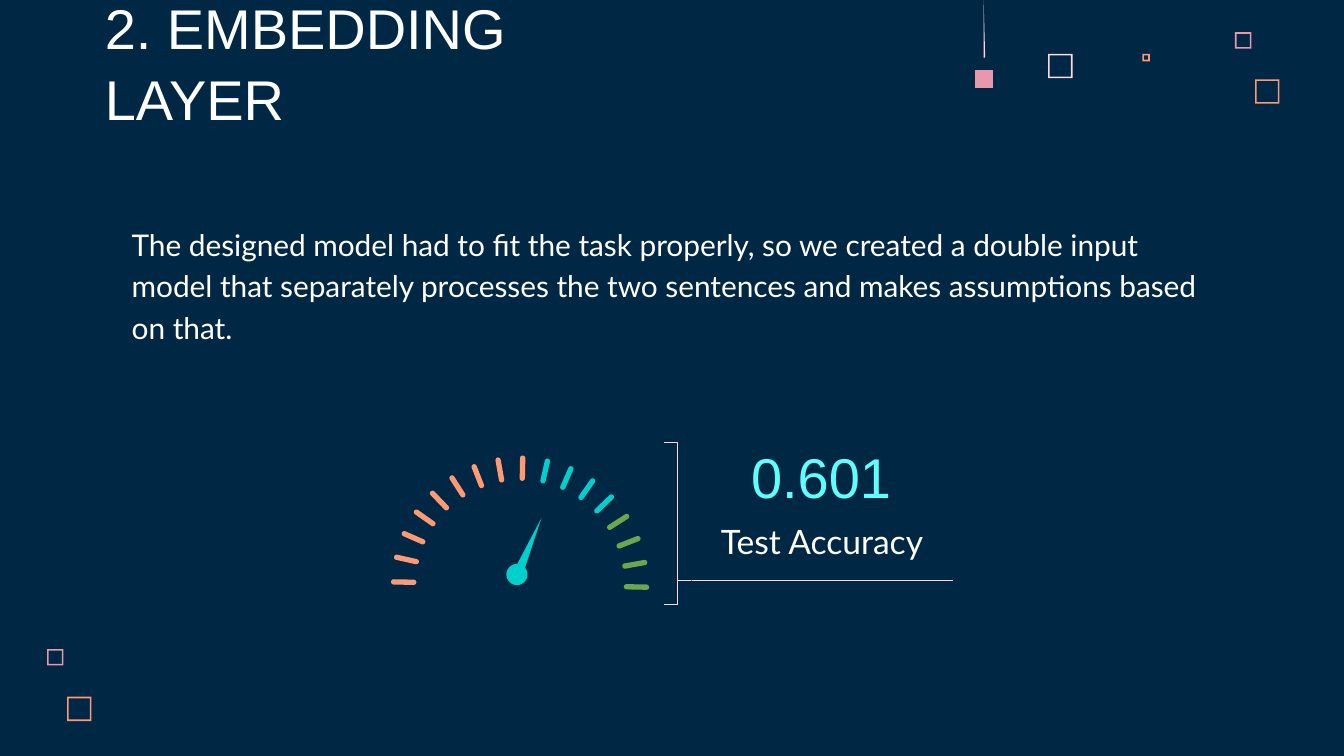
from dataclasses import dataclass
from math import cos, pi, radians, sin

from lxml import etree
from pptx import Presentation
from pptx.dml.color import RGBColor
from pptx.enum.shapes import MSO_CONNECTOR, MSO_SHAPE
from pptx.enum.text import MSO_ANCHOR, MSO_AUTO_SIZE, PP_ALIGN
from pptx.oxml.ns import qn
from pptx.util import Cm, Pt

TOP, MIDDLE, BOTTOM = MSO_ANCHOR.TOP, MSO_ANCHOR.MIDDLE, MSO_ANCHOR.BOTTOM
LEFT, CENTER = PP_ALIGN.LEFT, PP_ALIGN.CENTER
OVAL, TRIANGLE, BRACE = MSO_SHAPE.OVAL, MSO_SHAPE.ISOSCELES_TRIANGLE, MSO_SHAPE.RIGHT_BRACE
STRAIGHT = MSO_CONNECTOR.STRAIGHT
TITLE_ONLY = 5

Point = tuple[float, float]


@dataclass(frozen=True)
class Theme:
    navy: str = "002845"
    white: str = "FFFFFF"
    blush: str = "FFD6E1"
    pink: str = "E898AC"
    orange: str = "FF9973"
    teal: str = "00CFCC"
    green: str = "6AA84F"
    cyan: str = "5EFFFD"
    heading_font: str = "Arial"
    text_font: str = "Lato"
    heading_size: int = 30
    label_size: int = 18
    body_size: int = 16
    line_width: float = 0.75
    inset: float = 0.25


THEME = Theme()


@dataclass(frozen=True)
class Square:
    left: float
    top: float
    side: float
    color: str
    hollow: bool = True


@dataclass(frozen=True)
class Gauge:
    """Ticks run clockwise from the left end of a half circle, turned by tilt degrees."""
    center_x: float
    center_y: float
    radius: float
    tick_length: float
    tick_width: float
    tilt: float
    tick_colors: tuple[str, ...]


SQUARES = (
    Square(19.81, 1.02, 0.46, THEME.blush),
    Square(23.34, 0.61, 0.31, THEME.pink),
    Square(21.59, 1.02, 0.14, THEME.orange),
    Square(23.72, 1.5, 0.46, THEME.orange),
    Square(18.42, 1.32, 0.34, THEME.pink, hollow=False),
    Square(0.89, 12.27, 0.31, THEME.pink),
    Square(1.27, 13.17, 0.46, THEME.orange),
)
SQUARE_BORDER = 0.03

ACCURACY_GAUGE = Gauge(
    9.83, 11.05, 2.44, 0.48, 0.1, 1.2,
    (THEME.orange,) * 9 + (THEME.teal,) * 4 + (THEME.green,) * 4,
)


def rgb(color: str) -> RGBColor:
    return RGBColor.from_string(color)


def paint(shape, color: str) -> None:
    shape.shadow.inherit = False
    shape.fill.solid()
    shape.fill.fore_color.rgb = rgb(color)
    shape.line.fill.background()


def place(shape, left: float, top: float, width: float, height: float) -> None:
    shape.left, shape.top = Cm(left), Cm(top)
    shape.width, shape.height = Cm(width), Cm(height)


def write(shape, text: str, *, font: str, size: int, color: str, align=LEFT,
          anchor=TOP, spacing: float = 1.0) -> None:
    frame = shape.text_frame
    frame.word_wrap = True
    frame.auto_size = MSO_AUTO_SIZE.NONE
    frame.vertical_anchor = anchor
    frame.margin_left = frame.margin_right = Cm(THEME.inset)
    frame.margin_top = frame.margin_bottom = Cm(THEME.inset)
    paragraph = frame.paragraphs[0]
    paragraph.alignment = align
    paragraph.line_spacing = spacing
    run = paragraph.add_run()
    run.text = text
    run.font.name = font
    run.font.size = Pt(size)
    run.font.color.rgb = rgb(color)


def draw_outline(shapes, contours: list[list[Point]], color: str) -> None:
    """Fill closed contours; a contour wound the other way cuts a hole."""
    paths = [[(Cm(x), Cm(y)) for x, y in contour] for contour in contours]
    builder = shapes.build_freeform(*paths[0][0])
    builder.add_line_segments(paths[0][1:], close=True)
    for path in paths[1:]:
        builder.move_to(*path[0])
        builder.add_line_segments(path[1:], close=True)
    paint(builder.convert_to_shape(), color)


def square_corners(left: float, top: float, side: float) -> list[Point]:
    right, bottom = left + side, top + side
    return [(left, top), (left, bottom), (right, bottom), (right, top)]


def draw_square(shapes, square: Square) -> None:
    contours = [square_corners(square.left, square.top, square.side)]
    if square.hollow:
        hole = square_corners(square.left + SQUARE_BORDER, square.top + SQUARE_BORDER,
                              square.side - 2 * SQUARE_BORDER)
        contours.append(hole[::-1])
    draw_outline(shapes, contours, square.color)


def tick_outline(gauge: Gauge, angle: float) -> list[Point]:
    """Round-ended bar lying along the radius at the given angle."""
    cap = gauge.tick_width / 2
    outer, inner = gauge.radius - cap, gauge.radius - gauge.tick_length + cap
    steps = 6
    points = []
    for distance, start in ((outer, angle - pi / 2), (inner, angle + pi / 2)):
        x = gauge.center_x + distance * cos(angle)
        y = gauge.center_y + distance * sin(angle)
        turns = [start + pi * step / steps for step in range(steps + 1)]
        points += [(x + cap * cos(turn), y + cap * sin(turn)) for turn in turns]
    return points


def draw_gauge(shapes, gauge: Gauge) -> None:
    step = 180 / (len(gauge.tick_colors) - 1)
    for index, color in enumerate(gauge.tick_colors):
        angle = radians(180 + gauge.tilt + index * step)
        draw_outline(shapes, [tick_outline(gauge, angle)], color)
    hub = shapes.add_shape(OVAL, Cm(9.57), Cm(10.66), Cm(0.4), Cm(0.4))
    needle = shapes.add_shape(TRIANGLE, Cm(9.93), Cm(9.75), Cm(0.18), Cm(1.09))
    needle.rotation = 23
    for part in (hub, needle):
        paint(part, THEME.teal)


def draw_bracket(shapes) -> None:
    bracket = shapes.add_shape(BRACE, Cm(12.55), Cm(8.36), Cm(0.51), Cm(3.07))
    bracket.adjustments[0], bracket.adjustments[1] = 0, 0.85
    bracket.shadow.inherit = False
    bracket.fill.background()
    underline = shapes.add_connector(STRAIGHT, Cm(13.08), Cm(10.97), Cm(18.01), Cm(10.97))
    etree.SubElement(underline._element.spPr, qn("a:effectLst"))
    for part in (bracket, underline):
        part.line.color.rgb = rgb(THEME.blush)
        part.line.width = Pt(THEME.line_width)


def add_text(shapes, left: float, top: float, width: float, height: float,
             text: str, **text_format) -> None:
    box = shapes.add_textbox(Cm(left), Cm(top), Cm(width), Cm(height))
    write(box, text, **text_format)


def main() -> None:
    deck = Presentation()
    deck.slide_width, deck.slide_height = Cm(25.4), Cm(14.29)
    slide = deck.slides.add_slide(deck.slide_layouts[TITLE_ONLY])
    slide.background.fill.solid()
    slide.background.fill.fore_color.rgb = rgb(THEME.navy)
    shapes = slide.shapes

    for square in SQUARES:
        draw_square(shapes, square)
    draw_outline(shapes, [[(18.59, 0), (18.59, 1.09), (18.62, 1.09)]], THEME.blush)

    place(shapes.title, 1.73, 1.14, 9.6, 1.6)
    write(shapes.title, "2. EMBEDDING LAYER", font=THEME.heading_font,
          size=THEME.heading_size, color=THEME.white, anchor=BOTTOM, spacing=1.05)
    add_text(shapes, 2.24, 3.94, 20.93, 3.25,
             "The designed model had to fit the task properly, so we created a double "
             "input model that separately processes the two sentences and makes "
             "assumptions based on that.",
             font=THEME.text_font, size=THEME.body_size, color=THEME.white, spacing=1.15)

    draw_gauge(shapes, ACCURACY_GAUGE)
    draw_bracket(shapes)
    add_text(shapes, 13.31, 8.46, 4.42, 1.09, "0.601", font=THEME.heading_font,
             size=THEME.heading_size, color=THEME.cyan, align=CENTER, anchor=MIDDLE)
    add_text(shapes, 13.11, 9.6, 4.85, 1.09, "Test Accuracy", font=THEME.text_font,
             size=THEME.label_size, color=THEME.white, align=CENTER)

    deck.save("out.pptx")


if __name__ == "__main__":
    main()
